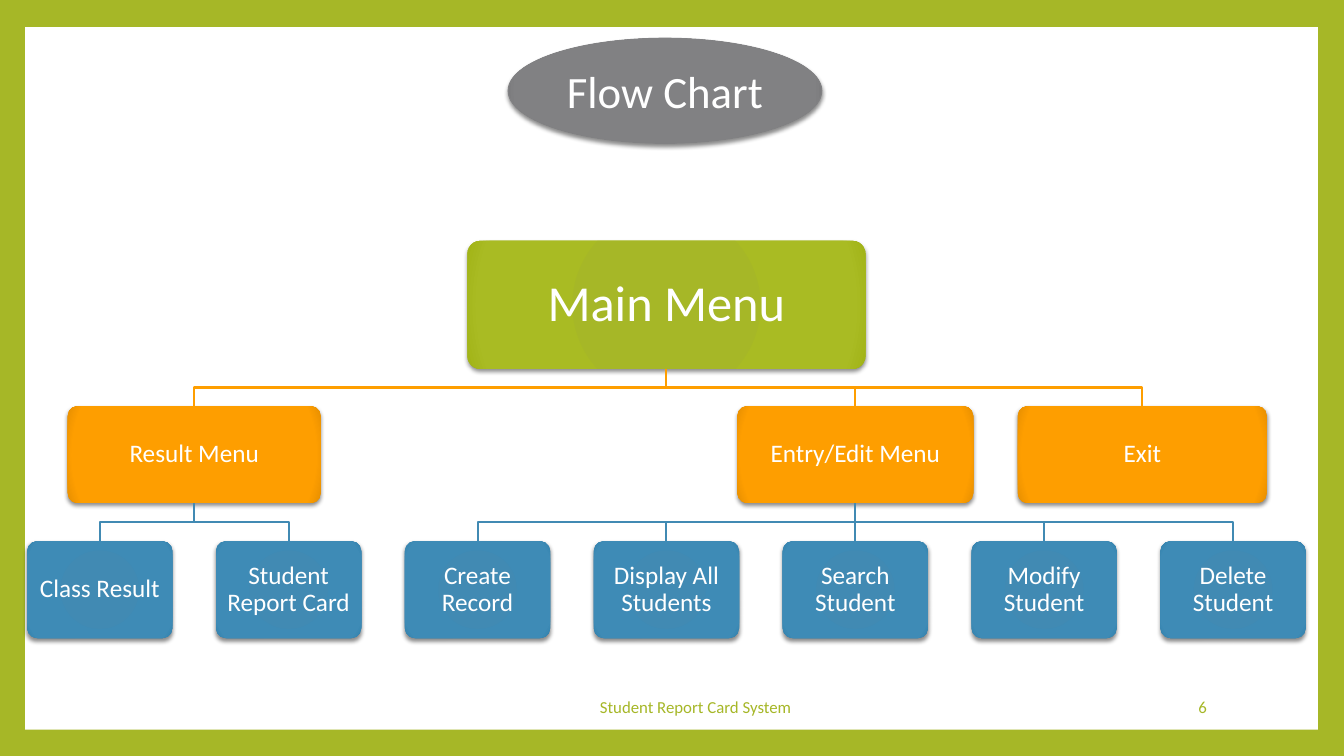
from lxml import etree
from pptx import Presentation
from pptx.dml.color import RGBColor
from pptx.enum import shapes, text
from pptx.oxml import parse_xml
from pptx.oxml import ns
from pptx.util import Inches, Pt

FONT = "Calibri"
COLORS = {"green": "A6B727", "orange": "FE9E00", "blue": "418AB3",
          "gray": "818183", "white": "FFFFFF"}
# Colours at 90 % and 100 % of each radial gradient
SHADES = {"green": ("A9BB23", "A1B316"), "orange": ("FE9E00", "E78F00"),
          "blue": ("3E8BB6", "3180AD"), "gray": ("818183", "757577")}

# Leaf columns, evenly spaced by their centres
FIRST_CENTER, LAST_CENTER = 0.99, 12.23
LEAVES = ["Class Result", "Student Report Card", "Create Record",
          "Display All Students", "Search Student", "Modify Student",
          "Delete Student"]
PITCH = (LAST_CENTER - FIRST_CENTER) / (len(LEAVES) - 1)
# Top and height of each level
MAIN_ROW, MENU_ROW, LEAF_ROW = (2.39, 1.27), (4.03, 0.96), (5.37, 0.96)


def rgb(color):
    return RGBColor.from_string(COLORS[color])


def column(index):
    return FIRST_CENTER + index * PITCH


def write(frame, words, size, color, align=text.PP_ALIGN.CENTER):
    frame.text = words
    frame.word_wrap = True
    frame.auto_size = text.MSO_AUTO_SIZE.NONE
    frame.vertical_anchor = text.MSO_ANCHOR.MIDDLE
    paragraph = frame.paragraphs[0]
    paragraph.alignment = align
    font = paragraph.runs[0].font
    font.name, font.size = FONT, Pt(size)
    font.color.rgb = rgb(color)
    return paragraph


def add_glossy(slide, preset, box, color):
    """A borderless shape with a radial gradient and a soft shadow below."""
    shape = slide.shapes.add_shape(preset, *map(Inches, box))
    shape.line.fill.background()
    shape.fill.background()
    properties = shape._element.spPr
    middle, edge = SHADES[color]
    stops = "".join(
        f'<a:gs pos="{position}"><a:srgbClr val="{shade}"/></a:gs>'
        for position, shade in ((0, COLORS[color]), (90000, middle), (100000, edge)))
    gradient = parse_xml(
        f'<a:gradFill {ns.nsdecls("a")} rotWithShape="1"><a:gsLst>{stops}</a:gsLst>'
        '<a:path path="circle"><a:fillToRect l="100000" t="100000" r="100000" '
        'b="100000"/></a:path></a:gradFill>')
    properties.replace(properties.find(ns.qn("a:noFill")), gradient)
    shape.shadow.inherit = False
    properties.find(ns.qn("a:effectLst")).append(parse_xml(
        f'<a:outerShdw {ns.nsdecls("a")} blurRad="{Pt(3)}" dist="{Pt(2)}" '
        'dir="5400000" rotWithShape="0"><a:srgbClr val="000000">'
        '<a:alpha val="45000"/></a:srgbClr></a:outerShdw>'))
    return shape


def add_node(slide, label, center, row, width, color, size=18, inset=0.07):
    top, height = row
    node = add_glossy(slide, shapes.MSO_SHAPE.ROUNDED_RECTANGLE,
                      (center - width / 2, top, width, height), color)
    node.adjustments[0] = 0.1
    frame = node.text_frame
    frame.margin_left = frame.margin_right = Inches(inset)
    frame.margin_top = frame.margin_bottom = Inches(inset)
    write(frame, label, size, "white").line_spacing = 0.9
    return node


def add_branch(slide, parent, child, color):
    """Link a parent's bottom to a child's top, bending halfway down."""
    start_x, start_y = parent.left + parent.width // 2, parent.top + parent.height
    end_x, end_y = child.left + child.width // 2, child.top
    if abs(start_x - end_x) < Inches(0.02):
        branch = slide.shapes.add_connector(
            shapes.MSO_CONNECTOR.STRAIGHT, start_x, start_y, end_x, end_y)
        branch.begin_connect(parent, 2)
        branch.end_connect(child, 0)
        etree.SubElement(branch._element.spPr, ns.qn("a:effectLst"))
    else:
        bend_y = (start_y + end_y) // 2
        builder = slide.shapes.build_freeform(start_x, start_y)
        builder.add_line_segments(
            [(start_x, bend_y), (end_x, bend_y), (end_x, end_y)], close=False)
        branch = builder.convert_to_shape()
        branch.fill.background()
        branch.shadow.inherit = False
    branch.line.color.rgb = rgb(color)
    branch.line.width = Pt(1.5)


def add_footer(slide, words, left, width, align):
    footer = slide.shapes.add_textbox(
        Inches(left), Inches(6.81), Inches(width), Inches(0.4))
    write(footer.text_frame, words, 12, "green", align)


def add_title(slide, words):
    box = (5.04, 0.38, 3.11, 1.04)
    ellipse = add_glossy(slide, shapes.MSO_SHAPE.OVAL, box, "gray")
    ellipse.line.color.rgb = rgb("gray")
    ellipse.line.width = Pt(0.79)
    title = slide.shapes.title
    title.left, title.top, title.width, title.height = map(Inches, box)
    write(title.text_frame, words, 32, "white")
    ellipse._element.addnext(title._element)


def main():
    prs = Presentation()
    prs.slide_width, prs.slide_height = Inches(13.33), Inches(7.5)
    slide = prs.slides.add_slide(prs.slide_layouts[5])

    # Green frame around a white panel
    background = slide.background.fill
    background.solid()
    background.fore_color.rgb = rgb("green")
    panel = slide.shapes.add_shape(
        shapes.MSO_SHAPE.RECTANGLE, *map(Inches, (0.25, 0.27, 12.82, 6.97)))
    panel.fill.solid()
    panel.fill.fore_color.rgb = rgb("white")
    panel.line.fill.background()
    panel.shadow.inherit = False

    # Menu tree: every parent sits over the middle of its leaves
    main_menu = add_node(slide, "Main Menu", column(3), MAIN_ROW, 3.95,
                         "green", size=36, inset=0.15)
    menus = [("Result Menu", column(0.5), 2.51, LEAVES[:2]),
             ("Entry/Edit Menu", column(4), 2.34, LEAVES[2:]),
             ("Exit", 11.33, 2.47, [])]
    for label, center, width, leaves in menus:
        menu = add_node(slide, label, center, MENU_ROW, width, "orange")
        add_branch(slide, main_menu, menu, "orange")
        for leaf_label in leaves:
            leaf = add_node(slide, leaf_label, column(LEAVES.index(leaf_label)),
                            LEAF_ROW, 1.44, "blue")
            add_branch(slide, menu, leaf, "blue")

    # Title and footer
    add_title(slide, "Flow Chart")
    add_footer(slide, "Student Report Card System", 4.32, 5.16, text.PP_ALIGN.CENTER)
    add_footer(slide, "6", 10.2, 1.87, text.PP_ALIGN.RIGHT)

    prs.save("out.pptx")


if __name__ == "__main__":
    main()
